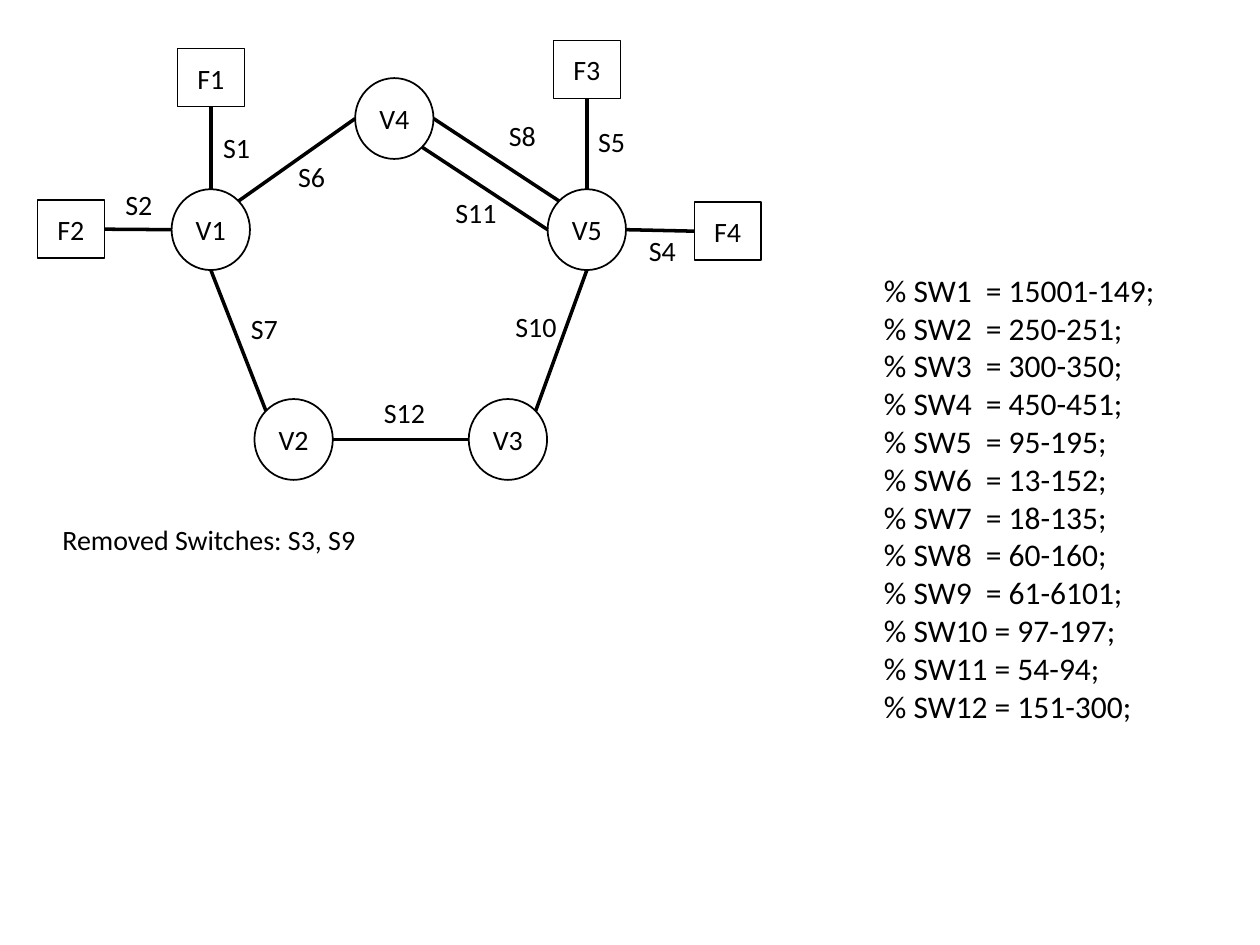
from math import hypot
from lxml.etree import SubElement
from pptx import Presentation
from pptx.dml.color import RGBColor
from pptx.enum.shapes import MSO_CONNECTOR, MSO_SHAPE
from pptx.enum.text import MSO_ANCHOR, MSO_AUTO_SIZE, PP_ALIGN
from pptx.oxml.ns import qn
from pptx.util import Cm, Pt

BLACK = RGBColor(0, 0, 0)
WHITE = RGBColor(255, 255, 255)
FONT = "Calibri"

# Sizes and centres in centimetres
BUS_SIZE = (1.58, 1.63)
FEEDER_SIZE = (1.35, 1.17)
BUSES = {"V2": (5.92, 8.86), "V3": (10.24, 8.86), "V1": (4.25, 4.63),
         "V4": (7.95, 2.39), "V5": (11.83, 4.63)}
FEEDERS = {"F3": (11.83, 1.4), "F4": (14.67, 4.66),
           "F1": (4.25, 1.57), "F2": (1.43, 4.62)}

# Directions from a node's centre to its edge
TOP, BOTTOM, LEFT, RIGHT = (0, -1), (0, 1), (-1, 0), (1, 0)
TOP_LEFT, TOP_RIGHT, BOTTOM_RIGHT = (-1, -1), (1, -1), (1, 1)

# Switch: start node and side, end node and side, label left and top
SWITCHES = {
    "S7": ("V1", BOTTOM, "V2", TOP_LEFT, 4.81, 6.15),
    "S6": ("V1", TOP_RIGHT, "V4", LEFT, 5.76, 3.1),
    "S8": ("V5", TOP_LEFT, "V4", RIGHT, 10.01, 2.26),
    "S10": ("V5", BOTTOM, "V3", TOP_RIGHT, 10.14, 6.12),
    "S12": ("V3", LEFT, "V2", RIGHT, 7.49, 7.85),
    "S1": ("V1", TOP, "F1", BOTTOM, 4.25, 2.5),
    "S2": ("V1", LEFT, "F2", RIGHT, 2.28, 3.66),
    "S4": ("F4", LEFT, "V5", RIGHT, 12.83, 4.59),
    "S5": ("F3", BOTTOM, "V5", TOP, 11.81, 2.39),
    "S11": ("V5", LEFT, "V4", BOTTOM_RIGHT, 8.93, 3.81),
}
SWITCH_BRANCHES = ["15001-149", "250-251", "300-350", "450-451", "95-195", "13-152",
                   "18-135", "60-160", "61-6101", "97-197", "54-94", "151-300"]


def style_paragraph(paragraph, size):
    paragraph.font.name = FONT
    paragraph.font.size = Pt(size)
    paragraph.font.color.rgb = BLACK


def add_node(slide, kind, name, center, size, line_width):
    (x, y), (width, height) = center, size
    shape = slide.shapes.add_shape(kind, Cm(x - width / 2), Cm(y - height / 2),
                                   Cm(width), Cm(height))
    shape.shadow.inherit = False
    shape.line.color.rgb = BLACK
    shape.line.width = Pt(line_width)
    frame = shape.text_frame
    frame.text = name
    frame.vertical_anchor = MSO_ANCHOR.MIDDLE
    frame.margin_left = frame.margin_right = 0
    frame.paragraphs[0].alignment = PP_ALIGN.CENTER
    style_paragraph(frame.paragraphs[0], 16)
    return shape


def edge_point(name, side):
    if name in BUSES:
        (x, y), (width, height) = BUSES[name], BUS_SIZE
    else:
        (x, y), (width, height) = FEEDERS[name], FEEDER_SIZE
    length = hypot(*side)
    return (Cm(x + side[0] / length * width / 2),
            Cm(y + side[1] / length * height / 2))


def add_switch_line(slide, start, end):
    connector = slide.shapes.add_connector(MSO_CONNECTOR.STRAIGHT, *start, *end)
    connector.line.color.rgb = BLACK
    connector.line.width = Pt(2)
    SubElement(connector.element.spPr, qn("a:effectLst"))


def add_text(slide, lines, left, top, width, height, size=16, wrap=False):
    box = slide.shapes.add_textbox(Cm(left), Cm(top), Cm(width), Cm(height))
    frame = box.text_frame
    frame.word_wrap = wrap
    frame.auto_size = MSO_AUTO_SIZE.SHAPE_TO_FIT_TEXT
    frame.text = "\n".join(lines)
    for paragraph in frame.paragraphs:
        style_paragraph(paragraph, size)
    return box


def main():
    presentation = Presentation()
    presentation.slide_width, presentation.slide_height = Cm(25.4), Cm(19.05)
    slide = presentation.slides.add_slide(presentation.slide_layouts[6])

    # Buses and feeders
    for name, center in BUSES.items():
        bus = add_node(slide, MSO_SHAPE.OVAL, name, center, BUS_SIZE, 1)
        bus.fill.background()
    for name, center in FEEDERS.items():
        feeder = add_node(slide, MSO_SHAPE.RECTANGLE, name, center, FEEDER_SIZE, 0.75)
        feeder.fill.solid()
        feeder.fill.fore_color.rgb = WHITE

    # Switches, with labels above the lines
    for start, start_side, end, end_side, _, _ in SWITCHES.values():
        add_switch_line(slide, edge_point(start, start_side),
                        edge_point(end, end_side))
    for name, (*_, left, top) in SWITCHES.items():
        add_text(slide, [name], left, top, 1.07 if len(name) == 2 else 1.35, 0.94)
    add_text(slide, ["Removed Switches: S3, S9"], 1.01, 10.41, 6.6, 0.94)

    # Branch list
    lines = [f"% SW{number:<2} = {branch};"
             for number, branch in enumerate(SWITCH_BRANCHES, 1)]
    branch_list = add_text(slide, lines, 17.57, 4.6, 7.8, 10.14, 18, True)
    branch_list.text_frame.margin_top = Cm(0.86)

    presentation.save("out.pptx")


main()
